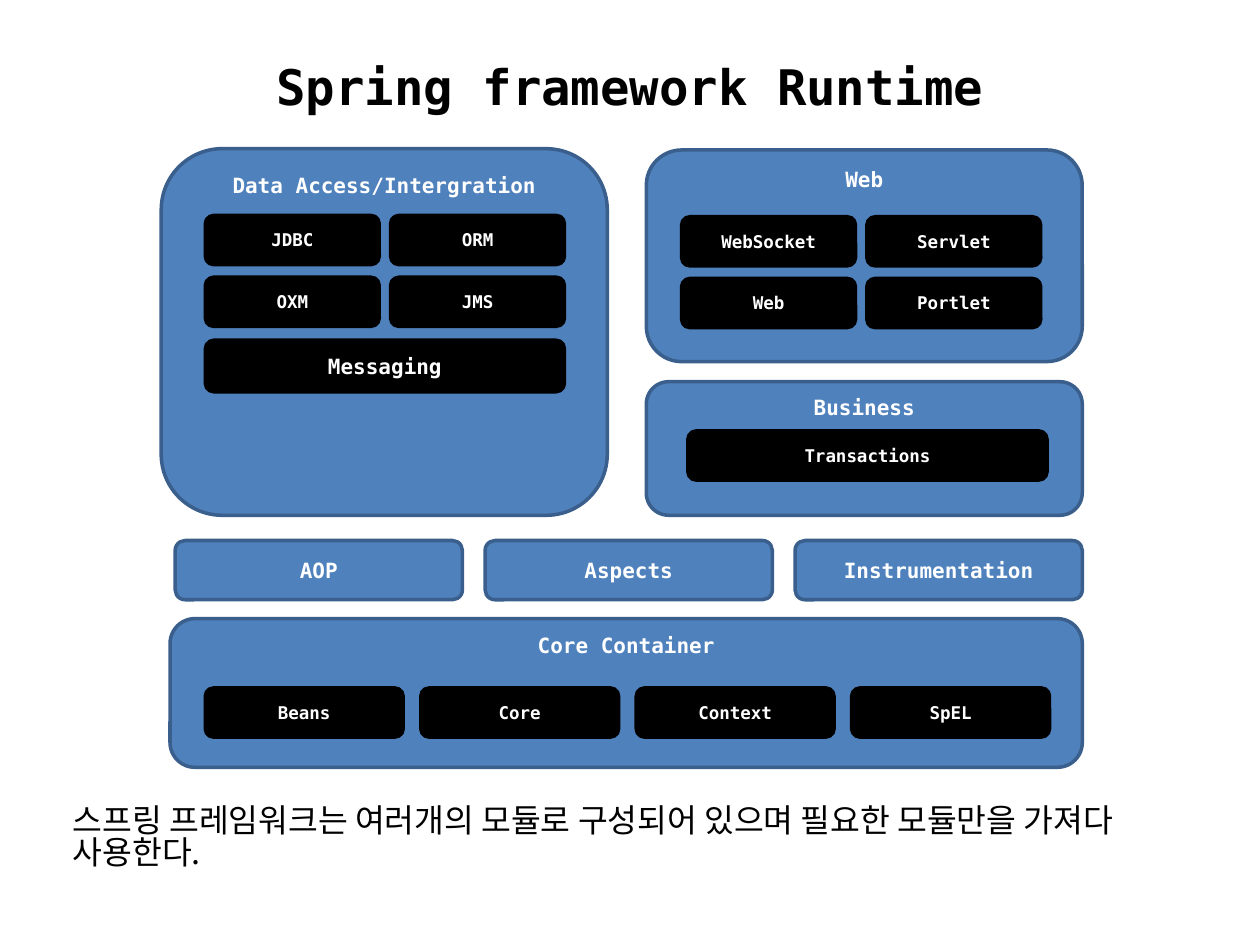
import pptx
import pptx.util
import pptx.dml.color
import pptx.enum.shapes
import pptx.enum.text
import pptx.oxml.ns
import lxml.etree

COLORS = {"panel": "4F81BD", "edge": "3A5F8C", "black": "000000", "white": "FFFFFF"}
MONO, HANGUL = "DejaVu Sans Mono", "Noto Sans CJK KR"
COLS, ROWS = 100, 75
ALIGN = pptx.enum.text.PP_ALIGN
ANCHOR = pptx.enum.text.MSO_ANCHOR


def color(name):
    return pptx.dml.color.RGBColor.from_string(COLORS[name])


def write(frame, text, size=12, font=MONO, ink="white", bold=True,
          align=ALIGN.CENTER, anchor=ANCHOR.MIDDLE, space=None):
    frame.word_wrap = True
    frame.vertical_anchor = anchor
    para = frame.paragraphs[0]
    para.alignment = align
    if space:
        para.line_spacing = space
    run = para.add_run()
    run.text = text
    run.font.size = pptx.util.Pt(size)
    run.font.name = font
    run.font.bold = bold
    run.font.color.rgb = color(ink)
    # East Asian glyphs take the same typeface
    tag = pptx.oxml.ns.qn("a:ea")
    lxml.etree.SubElement(run.font._element, tag).set("typeface", font)


class Board:
    def __init__(self):
        self.deck = pptx.Presentation()
        self.deck.slide_width = pptx.util.Inches(10)
        self.deck.slide_height = pptx.util.Inches(7.5)
        self.col = self.deck.slide_width / COLS
        self.row = self.deck.slide_height / ROWS
        self.slide = self.deck.slides.add_slide(self.deck.slide_layouts[6])

    def place(self, x, y, w, h):
        return [round(n) for n in (x * self.col, y * self.row, w * self.col, h * self.row)]

    def label(self, text, x, y, w, h, **form):
        box = self.slide.shapes.add_textbox(*self.place(x, y, w, h))
        write(box.text_frame, text, **form)

    def block(self, text, x, y, w, h, fill="panel", edge="edge", **form):
        kind = pptx.enum.shapes.MSO_SHAPE.ROUNDED_RECTANGLE
        box = self.slide.shapes.add_shape(kind, *self.place(x, y, w, h))
        box.shadow.inherit = False
        box.fill.solid()
        box.fill.fore_color.rgb = color(fill)
        box.line.color.rgb = color(edge)
        box.line.width = pptx.util.Pt(2)
        write(box.text_frame, text, **form)

    def panel(self, text, x, y, w, h):
        self.block(text, x, y, w, h, anchor=ANCHOR.TOP)

    def module(self, text, x, y, w, h=3.9, size=10):
        self.block(text, x, y, w, h, fill="black", edge="black", size=size)

    def grid(self, names, x, y, w, step, count, drop=4.9):
        for i, name in enumerate(names):
            self.module(name, x + i % count * step, y + i // count * drop, w)


board = Board()

# Title
board.label("Spring framework Runtime", 5, 3, 90, 7.7, size=28, ink="black")

# Data access
board.panel("Data Access/Intergration", 12.8, 11.8, 35.4, 29.1)
board.grid(["JDBC", "ORM", "OXM", "JMS"], 16.3, 17.1, 13.8, 14.7, 2)
board.module("Messaging", 16.3, 27, 28.5, h=4.1, size=12)

# Web
board.panel("Web", 51.3, 11.9, 34.6, 16.8)
board.grid(["WebSocket", "Servlet", "Web", "Portlet"], 54.1, 17.2, 13.8, 14.7, 2)

# Business
board.panel("Business", 51.3, 30.3, 34.6, 10.6)
board.module("Transactions", 54.6, 34.2, 28.5)

# Middle row
for i, name in enumerate(["AOP", "Aspects", "Instrumentation"]):
    board.block(name, 13.9 + i * 24.6, 42.9, 22.8, 4.7)

# Core container
board.panel("Core Container", 13.5, 49.1, 72.4, 11.8)
board.grid(["Beans", "Core", "Context", "SpEL"], 16.3, 54.6, 15.7, 17.1, 4)

# Summary
board.label("스프링 프레임워크는 여러개의 모듈로 구성되어 있으며 필요한 모듈만을 가져다 사용한다.",
            4.8, 63.5, 90, 6.7, size=18.5, font=HANGUL, ink="black", bold=False,
            align=ALIGN.LEFT, anchor=ANCHOR.TOP, space=0.83)

board.deck.save("out.pptx")
